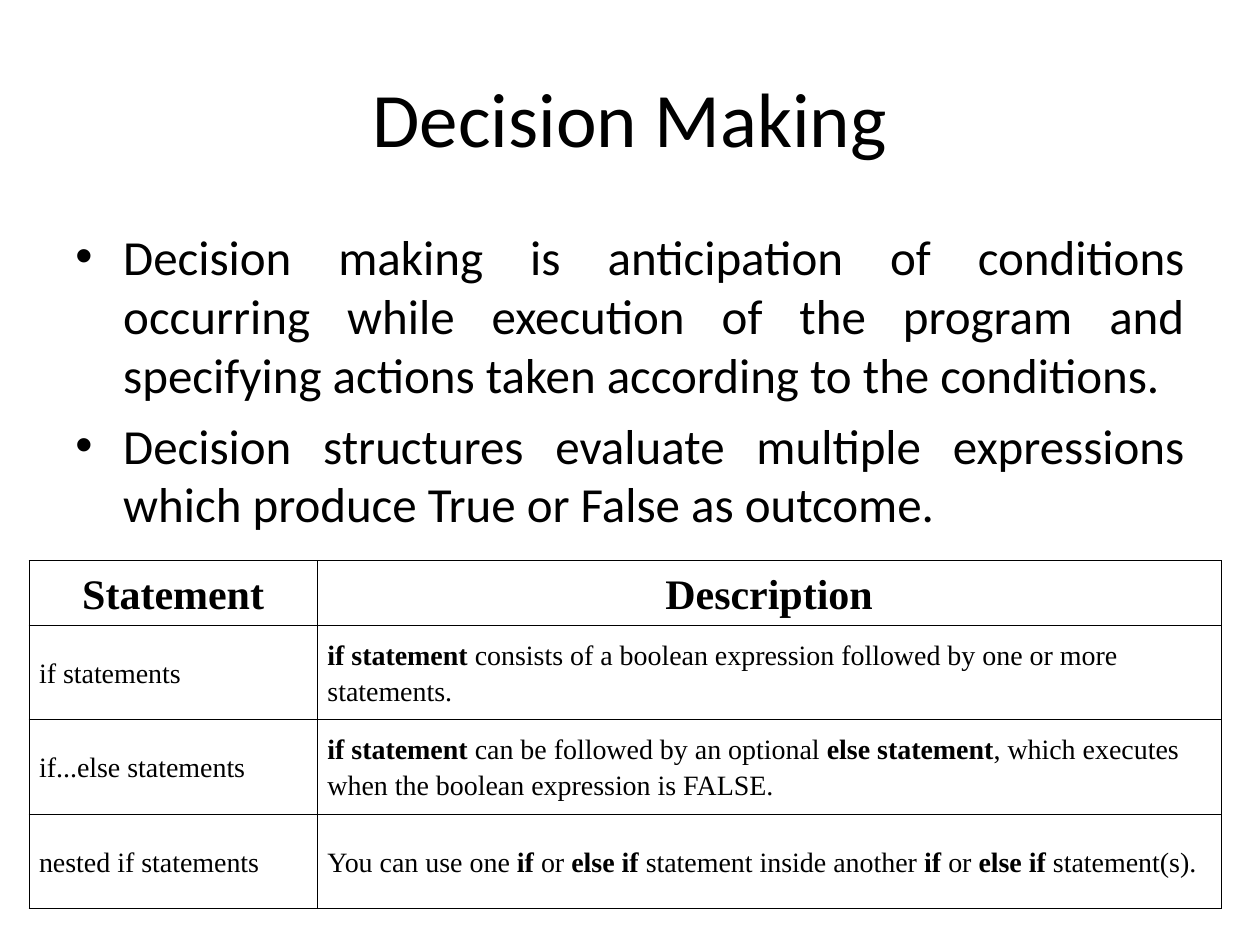
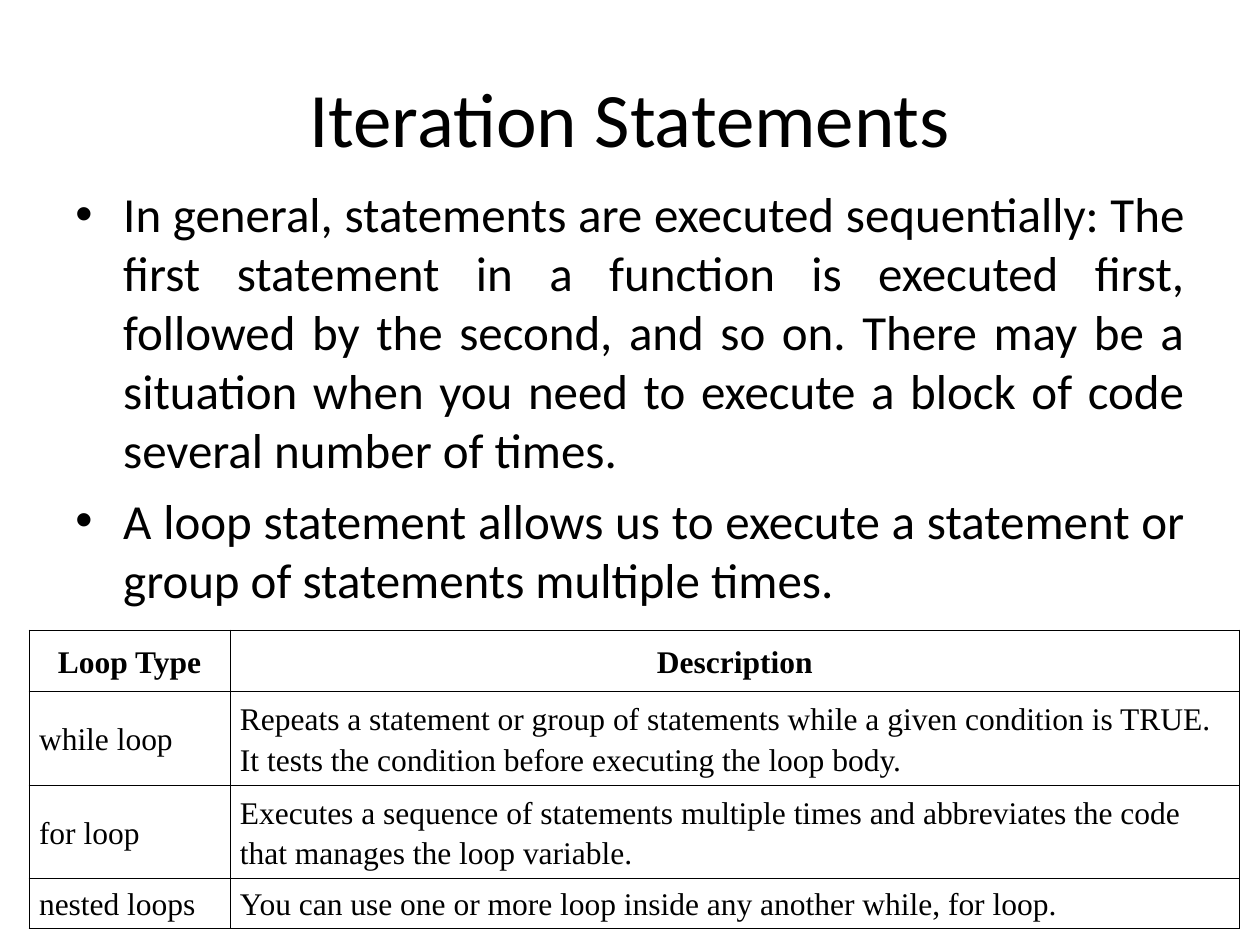
import dataclasses

import lxml.etree
import pptx
import pptx.dml.color
import pptx.enum.text
import pptx.oxml.ns
import pptx.util

ALIGN = pptx.enum.text.PP_ALIGN
ANCHOR = pptx.enum.text.MSO_ANCHOR


@dataclasses.dataclass(frozen=True)
class Theme:
    ink: str = "000000"
    paper: str = "FFFFFF"
    slide_font: str = "Calibri"
    table_font: str = "Times New Roman"
    title_size: float = 44
    body_size: float = 28
    border_width: float = 0.45
    body_gap: float = 7
    body_indent: float = 0.38
    cell_spacing: float = 1.15


@dataclasses.dataclass(frozen=True)
class Box:
    left: float
    top: float
    width: float
    height: float

    def share(self, left, top, width, height):
        return Box(self.left + left * self.width, self.top + top * self.height,
                   width * self.width, height * self.height)

    def lengths(self):
        return [pptx.util.Inches(value) for value in dataclasses.astuple(self)]


THEME = Theme()
PAGE = Box(0, 0, 10, 7.5)
SIDE_MARGIN = 0.05
CONTENT_WIDTH = 1 - 2 * SIDE_MARGIN
TITLE_BOX = PAGE.share(SIDE_MARGIN, 0.04, CONTENT_WIDTH, 1 / 6)


def color(value):
    return pptx.dml.color.RGBColor.from_string(value)


def add_element(parent, tag, **attributes):
    return lxml.etree.SubElement(parent, pptx.oxml.ns.qn(tag), attributes)


def add_bullet(paragraph):
    indent = pptx.util.Inches(THEME.body_indent)
    properties = paragraph._p.get_or_add_pPr()
    properties.set("marL", str(indent))
    properties.set("indent", str(-indent))
    bullet_color = add_element(properties, "a:buClr")
    add_element(bullet_color, "a:srgbClr", val=THEME.ink)
    add_element(properties, "a:buFont", typeface="Arial")
    add_element(properties, "a:buChar", char="•")


def write_text(frame, *texts, size, font=THEME.slide_font, align=ALIGN.LEFT,
               bold=False, bullet=False, gap=0, spacing=None):
    frame.word_wrap = True
    for index, text in enumerate(texts):
        paragraph = frame.add_paragraph() if index else frame.paragraphs[0]
        paragraph.alignment = align
        paragraph.line_spacing = spacing
        if index:
            paragraph.space_before = pptx.util.Pt(gap)
        if bullet:
            add_bullet(paragraph)
        for part, words in enumerate(text.split("**")):
            if words:
                run = paragraph.add_run()
                run.text = words
                run.font.name = font
                run.font.size = pptx.util.Pt(size)
                run.font.bold = bold or part % 2 == 1
                run.font.color.rgb = color(THEME.ink)


def add_title(slide, box, text):
    frame = slide.shapes.add_textbox(*box.lengths()).text_frame
    frame.vertical_anchor = ANCHOR.MIDDLE
    write_text(frame, text, size=THEME.title_size, align=ALIGN.CENTER)


def add_bullets(slide, box, texts):
    frame = slide.shapes.add_textbox(*box.lengths()).text_frame
    write_text(frame, *texts, size=THEME.body_size, align=ALIGN.JUSTIFY,
               bullet=True, gap=THEME.body_gap)


def style_cell(cell):
    properties = cell._tc.get_or_add_tcPr()
    for side in ("a:lnL", "a:lnR", "a:lnT", "a:lnB"):
        line = add_element(properties, side, w=str(pptx.util.Pt(THEME.border_width)))
        add_element(add_element(line, "a:solidFill"), "a:srgbClr", val=THEME.ink)
    cell.fill.solid()
    cell.fill.fore_color.rgb = color(THEME.paper)
    cell.vertical_anchor = ANCHOR.MIDDLE
    cell.margin_left = cell.margin_right = pptx.util.Inches(0.08)
    cell.margin_top = pptx.util.Inches(0.02)
    cell.margin_bottom = pptx.util.Inches(0.03)


def add_definition_table(slide, box, rows, first_column, row_shares,
                         header_size, cell_size):
    table = slide.shapes.add_table(len(rows), 2, *box.lengths()).table
    table.first_row = table.horz_banding = False
    for column, share in zip(table.columns, (first_column, 1 - first_column)):
        column.width = pptx.util.Inches(box.width * share)
    for row, share in zip(table.rows, row_shares):
        row.height = pptx.util.Inches(box.height * share / sum(row_shares))
    for row_index, texts in enumerate(rows):
        header = row_index == 0
        for column_index, text in enumerate(texts):
            cell = table.cell(row_index, column_index)
            style_cell(cell)
            write_text(cell.text_frame, text, font=THEME.table_font,
                       size=header_size if header else cell_size, bold=header,
                       align=ALIGN.CENTER if header else ALIGN.LEFT,
                       spacing=THEME.cell_spacing)


def add_statement_slide(presentation, title, bullets, bullets_top, table_box, **table):
    slide = presentation.slides.add_slide(presentation.slide_layouts[6])
    add_title(slide, TITLE_BOX, title)
    bullets_box = PAGE.share(SIDE_MARGIN, bullets_top, CONTENT_WIDTH, 0.66)
    add_bullets(slide, bullets_box, bullets)
    add_definition_table(slide, table_box, **table)


def main():
    presentation = pptx.Presentation()
    presentation.slide_width = pptx.util.Inches(PAGE.width)
    presentation.slide_height = pptx.util.Inches(PAGE.height)

    add_statement_slide(
        presentation,
        title="Decision Making",
        bullets=[
            "Decision making is anticipation of conditions occurring while execution "
            "of the program and specifying actions taken according to the conditions.",
            "Decision structures evaluate multiple expressions which produce True or "
            "False as outcome.",
        ],
        bullets_top=0.233,
        table_box=Box(0.23, 4.45, 9.46, 2.73),
        rows=[
            ("Statement", "Description"),
            ("if statements",
             "**if statement **consists of a boolean expression followed by one or "
             "more statements."),
            ("if...else statements",
             "**if statement **can be followed by an optional **else statement**, "
             "which executes when the boolean expression is FALSE."),
            ("nested if statements",
             "You can use one **if **or **else if **statement inside another "
             "**if **or **else if **statement(s)."),
        ],
        first_column=0.242,
        row_shares=(0.48, 0.75, 0.75, 0.75),
        header_size=24,
        cell_size=16,
    )
    add_statement_slide(
        presentation,
        title="Iteration Statements",
        bullets=[
            "In general, statements are executed sequentially: The first statement in "
            "a function is executed first, followed by the second, and so on. There "
            "may be a situation when you need to execute a block of code several "
            "number of times.",
            "A loop statement allows us to execute a statement or group of statements "
            "multiple times.",
        ],
        bullets_top=0.188,
        table_box=Box(0.23, 5, 9.61, 2.22),
        rows=[
            ("Loop Type", "Description"),
            ("while loop",
             "Repeats a statement or group of statements while a given condition is "
             "TRUE. It tests the condition before executing the loop body."),
            ("for loop",
             "Executes a sequence of statements multiple times and abbreviates the "
             "code that manages the loop variable."),
            ("nested loops",
             "You can use one or more loop inside any another while, for loop."),
        ],
        first_column=0.166,
        row_shares=(0.49, 0.69, 0.69, 0.35),
        header_size=18,
        cell_size=18,
    )
    presentation.save("out.pptx")


if __name__ == "__main__":
    main()
